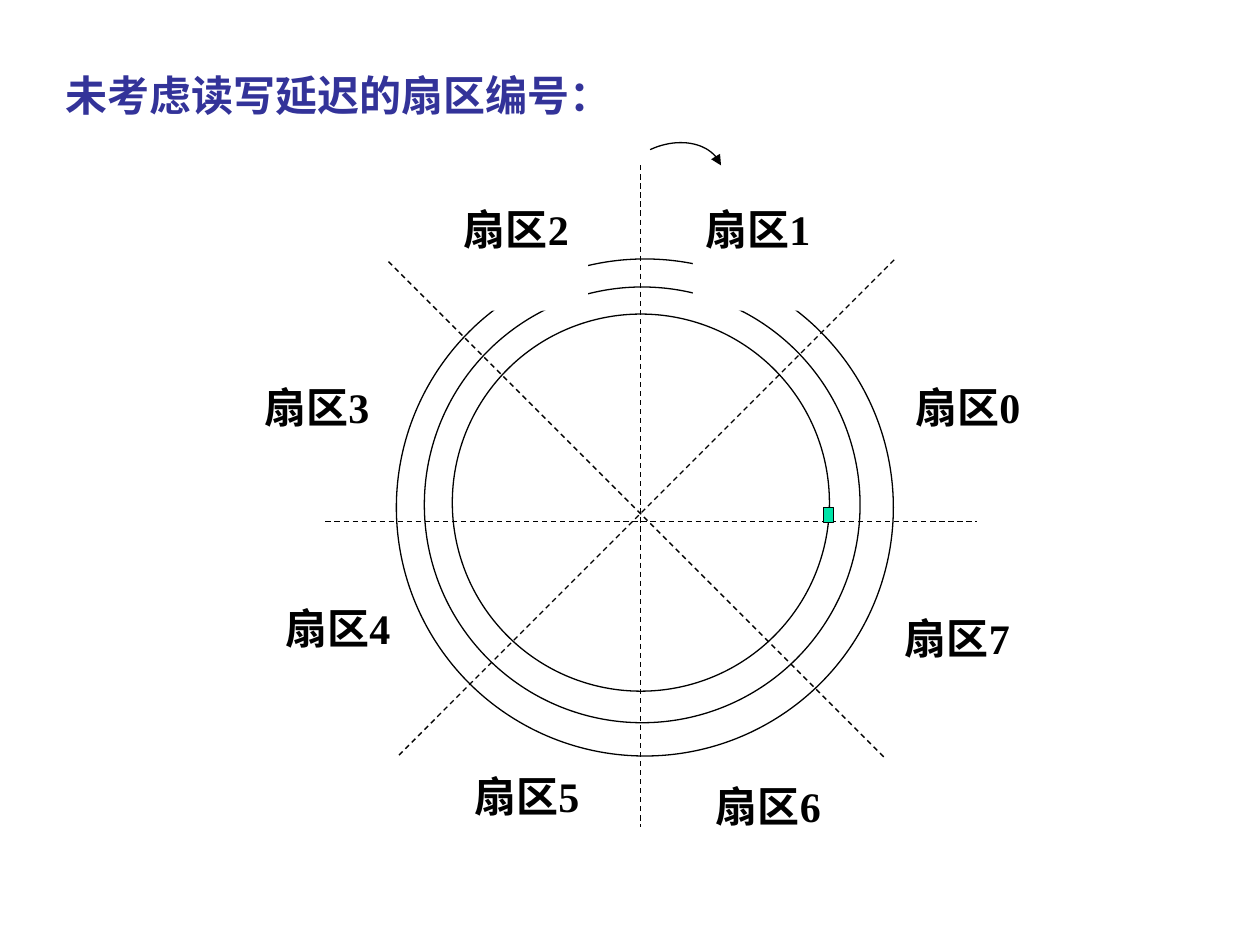
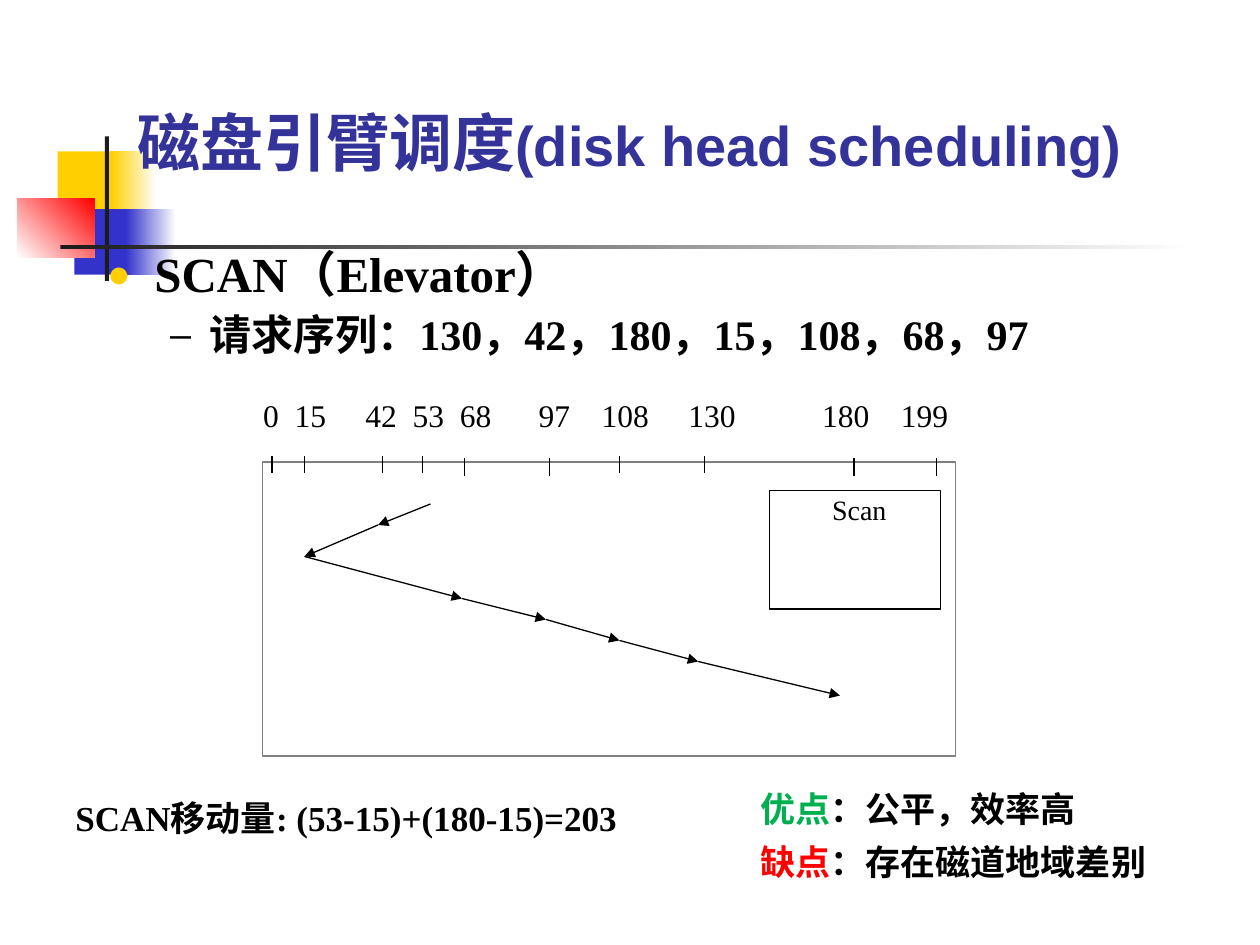
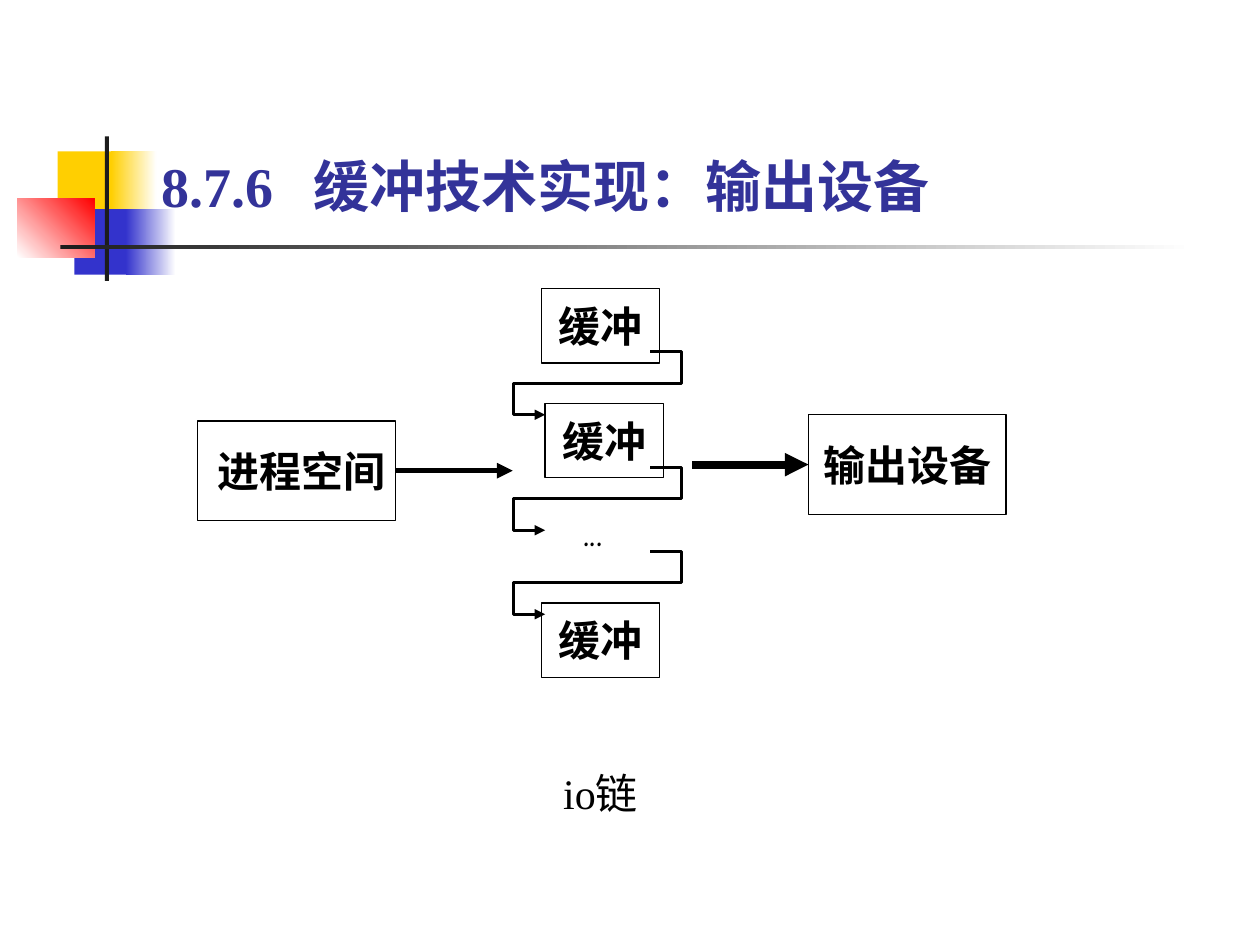
from itertools import pairwise

from lxml.etree import SubElement
from pptx import Presentation
from pptx.dml.color import RGBColor
from pptx.enum.dml import MSO_LINE
from pptx.enum.lang import MSO_LANGUAGE_ID as LANGUAGE
from pptx.enum.shapes import MSO_CONNECTOR as CONNECTOR, MSO_SHAPE as SHAPE
from pptx.enum.text import MSO_ANCHOR as ANCHOR, MSO_AUTO_SIZE as AUTO_SIZE, PP_ALIGN as ALIGN
from pptx.oxml.ns import qn
from pptx.util import Pt

COLORS = {
    "black": "000000", "white": "FFFFFF", "gray": "808080", "ink": "1C1C1C",
    "title": "333399", "yellow": "FFCF01", "blue": "3333CC", "red": "FF0000",
    "green": "00B050", "head": "00E4A8",
}
SERIF = "Times New Roman"
INSETS = (7.2, 3.6, 7.2, 3.6)
TIGHT = (4.3, 3.6, 4.3, 3.6)
TITLE_ONLY, TITLE_AND_BODY = 5, 1


def rgb(name):
    return RGBColor.from_string(COLORS[name])


def write(paragraph, text, size=24, font=SERIF, color="black", bold=False):
    run = paragraph.add_run()
    run.text = text
    run.font.size = Pt(size)
    run.font.name = font
    run.font.bold = bold
    run.font.color.rgb = rgb(color)
    run.font.language_id = LANGUAGE.SIMPLIFIED_CHINESE


def set_tabs(paragraph, positions):
    tabs = SubElement(paragraph._p.get_or_add_pPr(), qn("a:tabLst"))
    for position in positions:
        SubElement(tabs, qn("a:tab"), pos=str(Pt(position)), algn="l")


def set_bullet(paragraph, char, color, percent, margin, hanging):
    properties = paragraph._p.get_or_add_pPr()
    properties.set("marL", str(Pt(margin)))
    properties.set("indent", str(Pt(-hanging)))
    bullet_color = SubElement(properties, qn("a:buClr"))
    SubElement(bullet_color, qn("a:srgbClr"), val=COLORS[color])
    SubElement(properties, qn("a:buSzPct"), val=str(percent * 1000))
    SubElement(properties, qn("a:buChar"), char=char)


class Deck:
    def __init__(self):
        self.presentation = Presentation()
        self.presentation.slide_width = Pt(720)
        self.presentation.slide_height = Pt(540)
        self.slide = None

    def new_slide(self, layout, decorated=True):
        layouts = self.presentation.slide_layouts
        self.slide = self.presentation.slides.add_slide(layouts[layout])
        if decorated:
            self.decorate()
            self.raise_placeholders()

    def decorate(self):
        self.shape((33, 86.5, 34.5, 37.5), fill="yellow")
        self.gradient((63.5, 86.5, 26, 37.5), "yellow", "white")
        self.shape((42.5, 119.5, 33, 37.5), fill="blue")
        self.gradient((72, 119.5, 28.5, 37.5), "blue", "white")
        self.gradient((10, 113.5, 44, 33.5), "white", "red", angle=45)
        self.shape((60, 78, 2.2, 82.5), fill="ink")
        self.gradient((34.5, 140, 648, 2.5), "ink", "white")

    def raise_placeholders(self):
        for placeholder in list(self.slide.placeholders):
            self.slide.shapes._spTree.append(placeholder._element)

    def frame(self, shape, insets=INSETS, anchor=ANCHOR.TOP, align=ALIGN.LEFT, wrap=True):
        frame = shape.text_frame
        frame.auto_size = AUTO_SIZE.NONE
        frame.word_wrap = wrap
        frame.vertical_anchor = anchor
        (frame.margin_left, frame.margin_top,
         frame.margin_right, frame.margin_bottom) = map(Pt, insets)
        paragraph = frame.paragraphs[0]
        paragraph.alignment = align
        paragraph.space_before = Pt(0)
        return paragraph

    def placeholder(self, index, box, **layout):
        shape = self.slide.placeholders[index]
        shape.left, shape.top, shape.width, shape.height = map(Pt, box)
        return self.frame(shape, **layout)

    def text(self, box, **layout):
        return self.frame(self.slide.shapes.add_textbox(*map(Pt, box)), **layout)

    def shape(self, box, kind=SHAPE.RECTANGLE, fill=None, line=None):
        shape = self.slide.shapes.add_shape(kind, *map(Pt, box))
        self.style(shape, fill, line)
        return shape

    def style(self, shape, fill=None, line=None, width=0.75):
        shape.shadow.inherit = False
        if fill:
            shape.fill.solid()
            shape.fill.fore_color.rgb = rgb(fill)
        else:
            shape.fill.background()
        if line:
            shape.line.color.rgb = rgb(line)
            shape.line.width = Pt(width)
        else:
            shape.line.fill.background()

    def gradient(self, box, first, last, angle=0):
        fill = self.shape(box).fill
        fill.gradient()
        fill.gradient_angle = angle
        for stop, color, position in zip(fill.gradient_stops, (first, last), (0, 1)):
            stop.color.rgb = rgb(color)
            stop.position = position

    def arrowhead(self, shape):
        SubElement(shape.line._get_or_add_ln(), qn("a:tailEnd"), type="triangle")

    def line(self, start, end, width=0.75, dashed=False, arrow=False, source=None, target=None):
        line = self.slide.shapes.add_connector(CONNECTOR.STRAIGHT, *map(Pt, start + end))
        line.line.color.rgb = rgb("black")
        line.line.width = Pt(width)
        if dashed:
            line.line.dash_style = MSO_LINE.DASH
        if arrow:
            self.arrowhead(line)
        SubElement(line._element.spPr, qn("a:effectLst"))
        if source:
            line.begin_connect(source, 3)
        if target:
            line.end_connect(target, 1)

    def path_arrow(self, points, width=0.75):
        points = [(Pt(x), Pt(y)) for x, y in points]
        builder = self.slide.shapes.build_freeform(*points[0])
        builder.add_line_segments(points[1:], close=False)
        shape = builder.convert_to_shape()
        self.style(shape, line="black", width=width)
        self.arrowhead(shape)

    def node(self, box, text, insets=TIGHT):
        shape = self.shape(box, fill="white", line="black")
        paragraph = self.frame(shape, insets, ANCHOR.MIDDLE, ALIGN.CENTER, wrap=False)
        write(paragraph, text, bold=True)
        return shape


def bezier(a, b, c, d, steps=24):
    for step in range(steps + 1):
        t = step / steps
        weights = ((1 - t) ** 3, 3 * t * (1 - t) ** 2, 3 * t * t * (1 - t), t ** 3)
        yield tuple(sum(w * p for w, p in zip(weights, axis)) for axis in zip(a, b, c, d))


def sector_slide(deck):
    deck.new_slide(TITLE_ONLY, decorated=False)
    title = deck.placeholder(0, (30, 36, 624, 36))
    write(title, "未考虑读写延迟的扇区编号：", color="title", bold=True)

    for left, top, size in ((226.5, 148, 284), (242.5, 164, 249), (258.5, 179.5, 215.5)):
        deck.shape((left, top, size, size), SHAPE.OVAL, fill="white", line="black")
    for start, end in (
        ((222, 149.5), (505.5, 433)), ((228, 431.5), (511, 148.5)),
        ((366, 94.5), (366, 472.5)), ((186, 298), (558, 298)),
    ):
        deck.line(start, end, dashed=True)

    sector_corners = (
        (516, 214.5), (396, 112.5), (258, 112.5), (144, 214.5),
        (156, 340.5), (264, 436.5), (402, 442.5), (510, 346.5),
    )
    for number, corner in enumerate(sector_corners):
        label = deck.shape((*corner, 78, 65), fill="white")
        write(deck.frame(label), f"扇区{number}", bold=True)

    deck.path_arrow(bezier((371.5, 85.5), (389, 77.5), (407, 82), (412, 94.5)))
    deck.shape((470.5, 290, 6, 8.5), fill="head", line="black")


def scan_slide(deck):
    deck.new_slide(TITLE_AND_BODY)
    title = deck.placeholder(0, (54, 36, 612, 90), anchor=ANCHOR.MIDDLE, align=ALIGN.CENTER)
    for text, size in (("磁盘引臂调度", 36), ("(disk head scheduling)", 32)):
        write(title, text, size=size, font="Arial", color="title", bold=True)

    heading = deck.placeholder(1, (54, 139.5, 612, 64))
    heading.line_spacing = 0.9
    set_bullet(heading, "●", "yellow", 80, 27, 27)
    write(heading, "SCAN（Elevator）", size=28, bold=True)
    requests = deck.slide.placeholders[1].text_frame.add_paragraph()
    requests.level = 1
    requests.line_spacing = 0.9
    requests.space_before = Pt(6)
    set_bullet(requests, "–", "black", 90, 58.5, 22.5)
    write(requests, "请求序列：130，42，180，15，108，68，97", bold=True)

    movement = deck.text((36, 451.5, 352, 32))
    write(movement, "SCAN移动量: (53-15)+(180-15)=203", size=20, bold=True)

    deck.shape((150, 264, 396, 168), line="gray")
    tracks = (
        (0, 0, 155.5, 260.5), (15, 18, 174, 260.5), (42, 58.5, 218.5, 260.5),
        (53, 85.5, 241.5, 260.5), (68, 112.5, 265.5, 262), (97, 157.5, 314, 262),
        (108, 193.5, 354, 260.5), (130, 243, 402.5, 260.5), (180, 319.5, 488, 262),
        (199, 364.5, 535, 262),
    )
    scale = deck.text((149, 226, 395.5, 38), insets=(1.4, 0, 1.4, 0))
    set_tabs(scale, [tab for _, tab, _, _ in tracks[1:]])
    write(scale, "\t".join(str(track) for track, *_ in tracks), size=18)
    for _, _, x, top in tracks:
        deck.line((x, top), (x, top + 10))

    head_stops = (
        (246, 288), (216, 300), (174, 318), (264, 342),
        (312, 354), (354, 366), (399, 378), (480, 397.5),
    )
    for start, end in pairwise(head_stops):
        deck.line(start, end, arrow=True)

    legend = deck.shape((439.5, 280.5, 98, 67.5), line="black")
    write(deck.frame(legend, insets=(36, 0.7, 7.2, 3.6)), "Scan", size=16)

    verdict = deck.text((427.5, 446.5, 238.5, 61))
    drawback = deck.slide.shapes[-1].text_frame.add_paragraph()
    drawback.space_before = Pt(6)
    for paragraph, label, color, text in (
        (verdict, "优点", "green", "：公平，效率高"),
        (drawback, "缺点", "red", "：存在磁道地域差别"),
    ):
        write(paragraph, label, size=20, font="Lato", color=color, bold=True)
        write(paragraph, text, size=20, font="Lato", bold=True)


def buffer_slide(deck):
    deck.new_slide(TITLE_ONLY)
    title = deck.placeholder(0, (85, 83, 481.5, 46))
    set_tabs(title, [87])
    write(title, "8.7.6\t缓冲技术实现：输出设备", size=32, color="title", bold=True)

    process = deck.node((113, 240.5, 113, 57), "进程空间", insets=(10.3, 3.6, 4.3, 3.6))
    device = deck.node((462, 237, 113, 57), "输出设备")
    for left, top in ((309.5, 165), (311.5, 230.5), (309.5, 344.5)):
        deck.node((left, top, 67.5, 42.5), "缓冲")
    deck.line((226, 269), (293, 269), width=3, arrow=True, source=process)
    deck.line((395.5, 265.5), (462, 265.5), width=4.5, arrow=True, target=device)

    for y in (201, 267, 315):
        deck.path_arrow(
            [(371.5, y), (389.5, y), (389.5, y + 18),
             (293.5, y + 18), (293.5, y + 36), (311.5, y + 36)],
            width=1.75,
        )
    write(deck.text((329, 285, 42, 36), insets=TIGHT), "...", font="Comic Neue")
    write(deck.text((317.5, 435, 72, 36), insets=TIGHT), "io链")


def main():
    deck = Deck()
    sector_slide(deck)
    scan_slide(deck)
    buffer_slide(deck)
    deck.presentation.save("out.pptx")


if __name__ == "__main__":
    main()
